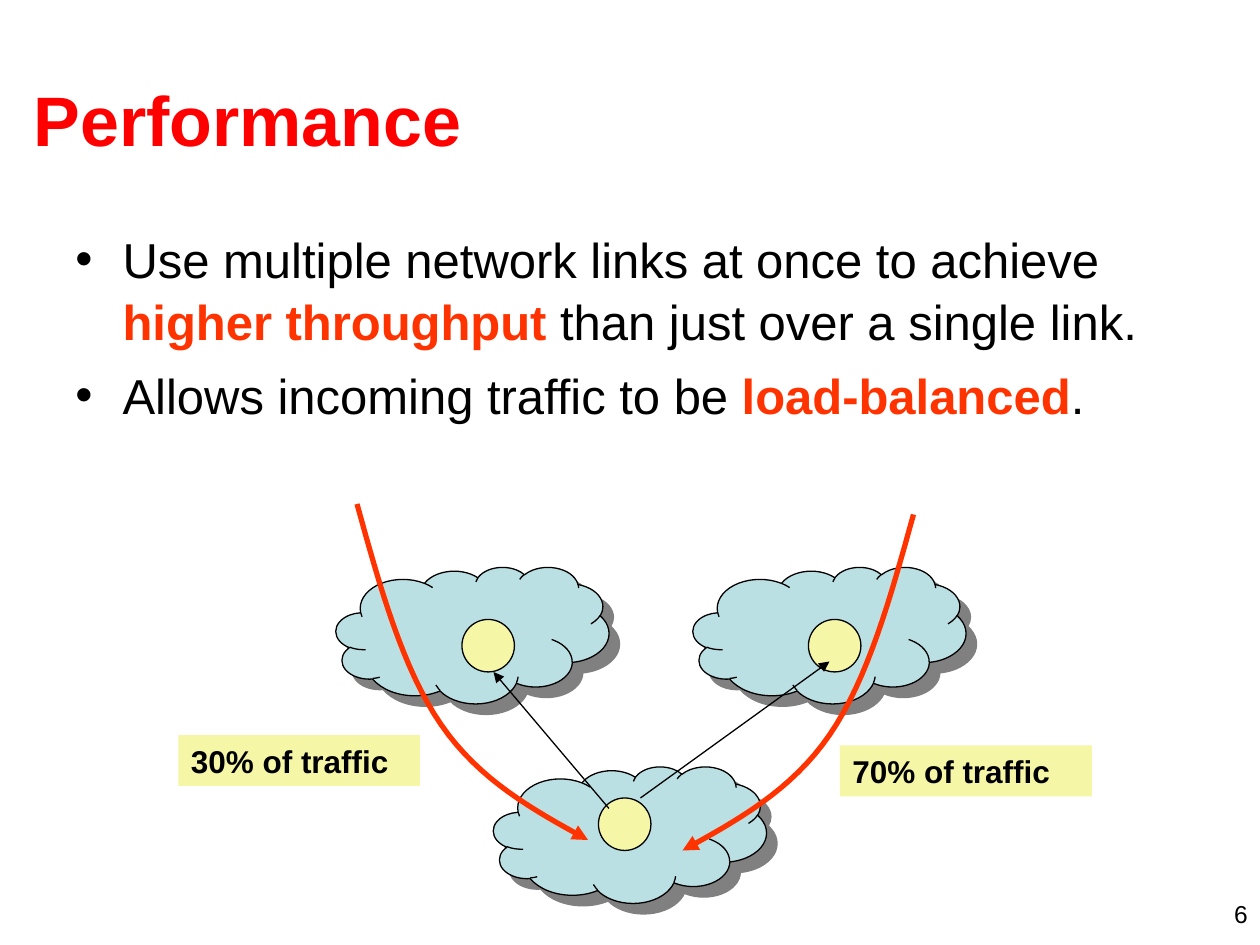
"""Build the Performance slide: two bullets above a traffic-sharing network diagram."""
import pptx
import pptx.util
import pptx.dml.color
import pptx.enum.shapes
import pptx.enum.text
import pptx.oxml
import pptx.oxml.ns
from lxml import etree

RED = pptx.dml.color.RGBColor(0xFF, 0x00, 0x00)
ORANGE = pptx.dml.color.RGBColor(0xFF, 0x33, 0x00)
BLACK = pptx.dml.color.RGBColor(0x00, 0x00, 0x00)
AQUA = pptx.dml.color.RGBColor(0xBB, 0xE0, 0xE3)
YELLOW = pptx.dml.color.RGBColor(0xF5, 0xF7, 0xA7)
CELL = pptx.util.Inches(1) // 12
Pt = pptx.util.Pt
SHAPE = pptx.enum.shapes.MSO_SHAPE
ALIGN = pptx.enum.text.PP_ALIGN
qn = pptx.oxml.ns.qn


def grid(*cells):
    return [round(cell * CELL) for cell in cells]


def write(paragraph, text, size, color=BLACK, bold=False):
    run = paragraph.add_run()
    run.text = text
    run.font.name = "Arial"
    run.font.size = Pt(size)
    run.font.bold = bold
    run.font.color.rgb = color


deck = pptx.Presentation()
deck.slide_width, deck.slide_height = grid(120, 90)
slide = deck.slides.add_slide(deck.slide_layouts[5])
shapes = slide.shapes

title = shapes.title
title.left, title.top, title.width, title.height = grid(2, 3.8, 115, 15)
title.text_frame.vertical_anchor = pptx.enum.text.MSO_ANCHOR.MIDDLE
title.text_frame.paragraphs[0].alignment = ALIGN.LEFT
write(title.text_frame.paragraphs[0], "Performance", 40, RED, True)

benefits = shapes.add_textbox(*grid(6, 21, 108, 24)).text_frame
benefits.word_wrap = True
bullets = [
    [("Use multiple network links at once to achieve ", False),
     ("higher throughput", True),
     (" than just over a single link.", False)],
    [("Allows incoming traffic to be", False), (" load-balanced", True), (".", False)],
]
for index, parts in enumerate(bullets):
    benefit = benefits.add_paragraph() if index else benefits.paragraphs[0]
    properties = benefit._p.get_or_add_pPr()
    properties.set("marL", str(Pt(27)))
    properties.set("indent", str(-Pt(27)))
    etree.SubElement(properties, qn("a:buFont"), typeface="Arial")
    etree.SubElement(properties, qn("a:buChar"), char="•")
    benefit.line_spacing = 1.05
    if index:
        benefit.space_before = Pt(7)
    for text, key in parts:
        write(benefit, text, 28, ORANGE if key else BLACK, key)

networks = [(47, 73), (32, 54), (66, 54)]
routers = [(57, 76), (44, 59), (77, 59)]
nodes = [(SHAPE.CLOUD, place, (26, 13), AQUA) for place in networks]
nodes += [(SHAPE.OVAL, place, (5, 5), YELLOW) for place in routers]
for kind, place, size, color in nodes:
    node = shapes.add_shape(kind, *grid(*place, *size))
    node.fill.solid()
    node.fill.fore_color.rgb = color
    node.line.color.rgb = BLACK
    node.line.width = Pt(0.75)
    node.shadow.inherit = False
    if kind == SHAPE.CLOUD:
        effects = node._element.spPr.find(qn("a:effectLst"))
        shadow = etree.SubElement(effects, qn("a:outerShdw"), dist=str(Pt(8.5)),
                                  dir="2700000", algn="ctr", rotWithShape="0")
        etree.SubElement(shadow, qn("a:srgbClr"), val="808080")

arrows = []
for start, end in [((58, 77), (47, 64)), ((61, 76), (79, 63))]:
    link = shapes.add_connector(pptx.enum.shapes.MSO_CONNECTOR.STRAIGHT, *grid(*start, *end))
    etree.SubElement(link._element.spPr, qn("a:effectLst"))
    arrows.append((link, BLACK, 0.75))

bends = [(34, 48), (36.17, 55.83), (38.33, 63.67), (42, 69),
         (45.67, 74.33), (50.83, 77.17), (56, 80)]
steps = 16
flow = [bends[0]]
for first in (0, 3):
    for step in range(1, steps + 1):
        t = step / steps
        weights = ((1 - t) ** 3, 3 * t * (1 - t) ** 2, 3 * t ** 2 * (1 - t), t ** 3)
        flow.append([sum(w * point[axis] for w, point in zip(weights, bends[first:first + 4]))
                     for axis in (0, 1)])
mirrored_flow = [(121 - x, y + 1) for x, y in flow]
for route in (flow, mirrored_flow):
    points = [grid(*point) for point in route]
    builder = shapes.build_freeform(*points[0])
    builder.add_line_segments(points[1:], close=False)
    traffic = builder.convert_to_shape()
    traffic.fill.background()
    traffic.shadow.inherit = False
    arrows.append((traffic, ORANGE, 3))

for arrow, color, width in arrows:
    arrow.line.color.rgb = color
    arrow.line.width = Pt(width)
    etree.SubElement(arrow.line._get_or_add_ln(), qn("a:tailEnd"), type="triangle")

for text, left, top, width in [("70% of traffic", 80, 71, 24), ("30% of traffic", 17, 70, 23)]:
    share = shapes.add_shape(SHAPE.RECTANGLE, *grid(left, top, width, 4.85))
    share.fill.solid()
    share.fill.fore_color.rgb = YELLOW
    share.line.fill.background()
    share.shadow.inherit = False
    share.text_frame.word_wrap = True
    share.text_frame.paragraphs[0].alignment = ALIGN.LEFT
    write(share.text_frame.paragraphs[0], text, 18, BLACK, True)

page_number = shapes.add_textbox(*grid(92, 85, 28, 3)).text_frame
page_number.word_wrap = True
page_number.paragraphs[0].alignment = ALIGN.RIGHT
write(page_number.paragraphs[0], "6", 14)

deck.save("out.pptx")
